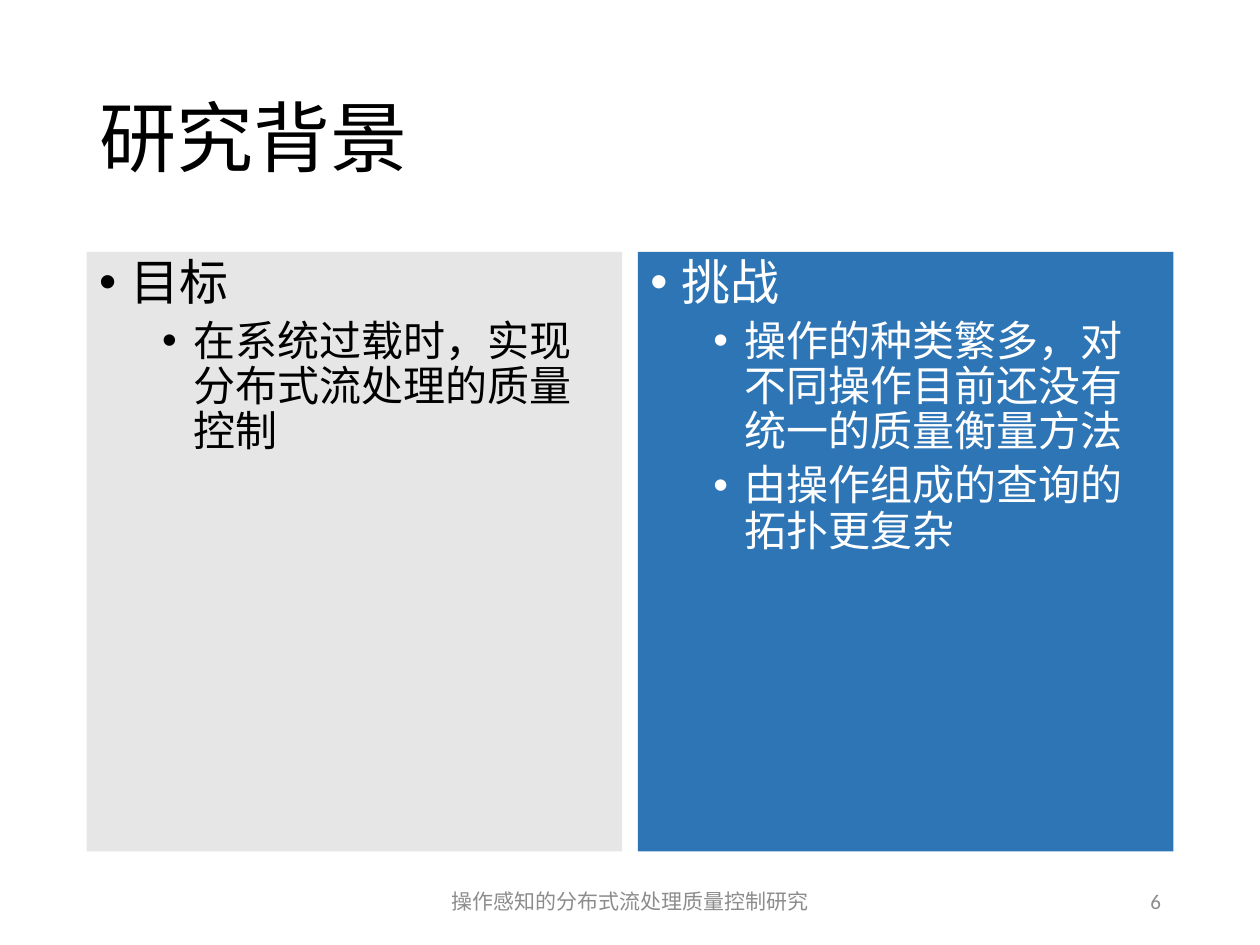
from lxml.etree import SubElement
from pptx import Presentation
from pptx.dml.color import RGBColor
from pptx.enum.shapes import MSO_SHAPE as Shape
from pptx.enum.text import MSO_ANCHOR as Anchor, MSO_AUTO_SIZE as AutoSize, PP_ALIGN as Align
from pptx.oxml.ns import qn
from pptx.util import Pt

FONT = "Calibri"
MARGIN, CONTENT_WIDTH = 49.5, 621
PANEL_WIDTH, PANEL_GAP = 306, 9
FOOTER_TOP, FOOTER_HEIGHT = 500.5, 28.75


def color(value):
    """Return the colour for a hex string."""
    return RGBColor.from_string(value)


def write(para, text, size=12, ink="000000", align=Align.LEFT, spacing=1.0, before=0):
    """Put formatted text into a paragraph."""
    para.alignment = align
    para.line_spacing = spacing
    para.space_before = Pt(before)
    span = para.add_run()
    span.text = text
    span.font.name = FONT
    span.font.size = Pt(size)
    span.font.color.rgb = color(ink)


def add_bullet(para, left):
    """Give a paragraph a bullet with a hanging indent."""
    props = para._p.get_or_add_pPr()
    props.set("marL", str(Pt(left)))
    props.set("indent", str(Pt(-18)))
    SubElement(props, qn("a:buFont"), typeface="Arial")
    SubElement(props, qn("a:buChar"), char="•")


def set_frame(box, anchor):
    """Set wrapping and anchoring of a text frame and return it."""
    frame = box.text_frame
    frame.word_wrap = True
    frame.auto_size = AutoSize.NONE
    frame.vertical_anchor = anchor
    return frame


def add_title(page, text):
    """Place and fill the title placeholder."""
    title = page.shapes.title
    title.left, title.top = Pt(MARGIN), Pt(28.75)
    title.width, title.height = Pt(CONTENT_WIDTH), Pt(104.4)
    frame = set_frame(title, Anchor.MIDDLE)
    write(frame.paragraphs[0], text, size=44, spacing=0.9)


def add_panel(page, column, fill, ink, heading, points):
    """Add a filled panel with a heading and indented points."""
    left = MARGIN + column * (PANEL_WIDTH + PANEL_GAP)
    panel = page.shapes.add_shape(
        Shape.RECTANGLE, Pt(left), Pt(144), Pt(PANEL_WIDTH), Pt(342.6))
    panel.shadow.inherit = False
    panel.fill.solid()
    panel.fill.fore_color.rgb = color(fill)
    panel.line.fill.background()
    frame = set_frame(panel, Anchor.TOP)
    para = frame.paragraphs[0]
    write(para, heading, size=28, ink=ink, spacing=0.9, before=10)
    add_bullet(para, 18)
    for point in points:
        para = frame.add_paragraph()
        para.level = 1
        write(para, point, size=24, ink=ink, spacing=0.9, before=5)
        add_bullet(para, 54)


def add_footer(page, text, left, width, align):
    """Add one grey text of the footer row."""
    box = page.shapes.add_textbox(Pt(left), Pt(FOOTER_TOP), Pt(width), Pt(FOOTER_HEIGHT))
    frame = set_frame(box, Anchor.MIDDLE)
    write(frame.paragraphs[0], text, ink="8C8C8C", align=align)


def main():
    """Build the slide and save the deck."""
    deck = Presentation()
    deck.slide_width, deck.slide_height = Pt(720), Pt(540)
    page = deck.slides.add_slide(deck.slide_layouts[5])
    add_title(page, "研究背景")
    panels = [
        ("E7E6E6", "000000", "目标", ["在系统过载时，实现分布式流处理的质量控制"]),
        ("2E75B6", "FFFFFF", "挑战", [
            "操作的种类繁多，对不同操作目前还没有统一的质量衡量方法",
            "由操作组成的查询的拓扑更复杂"]),
    ]
    for column, panel in enumerate(panels):
        add_panel(page, column, *panel)
    add_footer(page, "操作感知的分布式流处理质量控制研究", 238.5, 243, Align.CENTER)
    add_footer(page, "6", 508.5, 162, Align.RIGHT)
    deck.save("out.pptx")


main()
